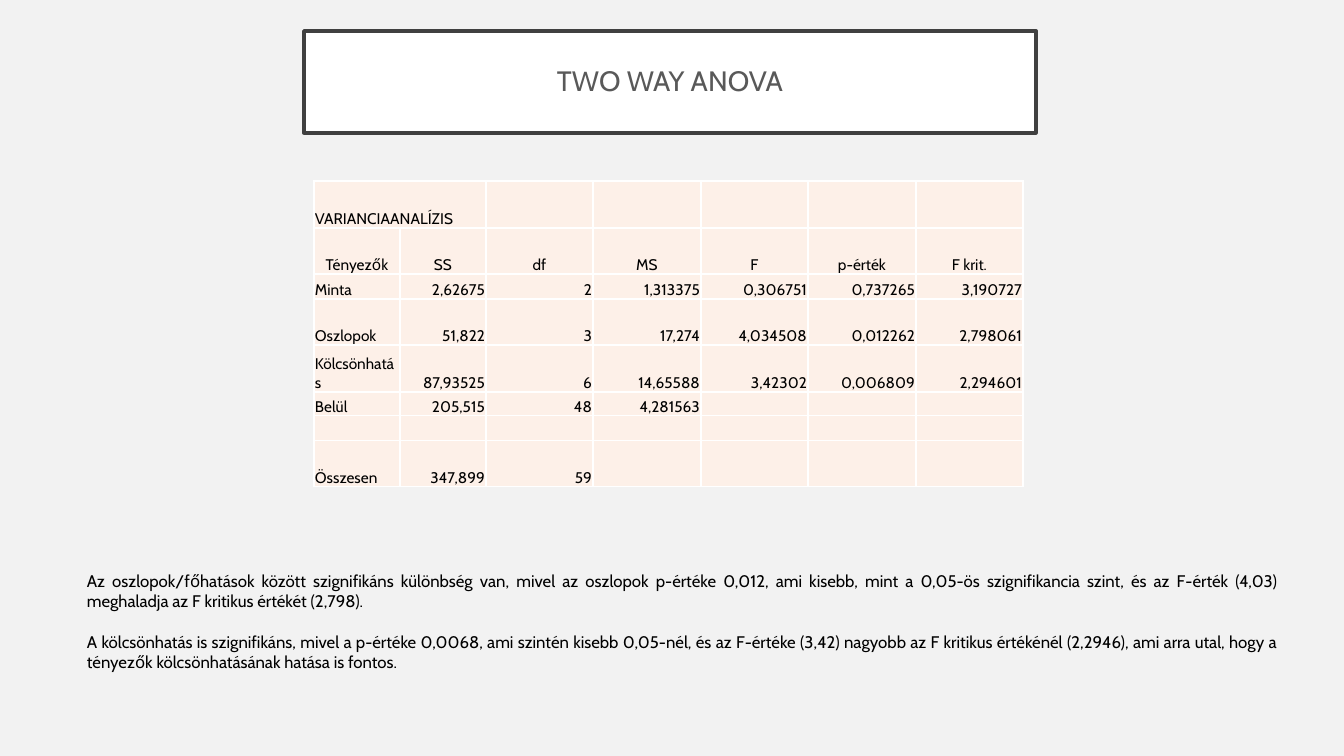
from dataclasses import dataclass

from lxml.etree import SubElement
from pptx import Presentation
from pptx.dml.color import RGBColor
from pptx.enum.shapes import MSO_SHAPE
from pptx.enum.text import MSO_ANCHOR, PP_ALIGN
from pptx.oxml.ns import qn
from pptx.util import Emu, Pt


@dataclass(frozen=True)
class Theme:
    """Colours, font and type sizes of the slide."""
    font: str = "Cabin"
    background: str = "F2F2F2"
    title_fill: str = "FFFFFF"
    title_line: str = "404040"
    title_text: str = "595959"
    text: str = "000000"
    cell_fill: str = "FDF0E8"
    cell_border: str = "FFFFFF"
    title_size: int = 20
    body_size: int = 12
    table_size: int = 11


THEME = Theme()
COLUMN_WIDTHS = (86, 86, 107, 108, 107, 108, 107)
ROW_HEIGHTS = (47, 46, 25, 46, 47, 24, 25, 46)
ANOVA_ROWS = (
    ("VARIANCIAANALÍZIS",),
    ("Tényezők", "SS", "df", "MS", "F", "p-érték", "F krit."),
    ("Minta", "2,62675", "2", "1,313375", "0,306751", "0,737265", "3,190727"),
    ("Oszlopok", "51,822", "3", "17,274", "4,034508", "0,012262", "2,798061"),
    ("Kölcsönhatás", "87,93525", "6", "14,65588", "3,42302", "0,006809", "2,294601"),
    ("Belül", "205,515", "48", "4,281563"),
    (),
    ("Összesen", "347,899", "59"),
)
CONCLUSIONS = (
    "Az oszlopok/főhatások között szignifikáns különbség van, mivel az oszlopok "
    "p-értéke 0,012, ami kisebb, mint a 0,05-ös szignifikancia szint, és az F-érték "
    "(4,03) meghaladja az F kritikus értékét (2,798).",
    "A kölcsönhatás is szignifikáns, mivel a p-értéke 0,0068, ami szintén kisebb "
    "0,05-nél, és az F-értéke (3,42) nagyobb az F kritikus értékénél (2,2946), ami "
    "arra utal, hogy a tényezők kölcsönhatásának hatása is fontos.",
)


def px(length):
    """Turn pixels into EMU at 100.8 pixels to the inch."""
    return Emu(round(length * 914400 / 100.8))


def color(value):
    """Turn a hex string into a colour."""
    return RGBColor.from_string(value)


def format_paragraph(paragraph, size, text_color, alignment):
    """Set the alignment of a paragraph and the font of its runs."""
    paragraph.alignment = alignment
    for run in paragraph.runs:
        run.font.name = THEME.font
        run.font.size = Pt(size)
        run.font.color.rgb = color(text_color)


def add_title(slide, text, left, top, width, height):
    """Add the framed title."""
    shape = slide.shapes.add_shape(
        MSO_SHAPE.RECTANGLE, px(left), px(top), px(width), px(height))
    shape.shadow.inherit = False
    shape.fill.solid()
    shape.fill.fore_color.rgb = color(THEME.title_fill)
    shape.line.color.rgb = color(THEME.title_line)
    shape.line.width = Pt(2.5)
    frame = shape.text_frame
    frame.text = text
    frame.word_wrap = True
    frame.vertical_anchor = MSO_ANCHOR.MIDDLE
    paragraph = frame.paragraphs[0]
    paragraph.line_spacing = 0.9
    format_paragraph(paragraph, THEME.title_size, THEME.title_text, PP_ALIGN.CENTER)


def add_body(slide, texts, left, top, width, height):
    """Add justified paragraphs set one line apart."""
    frame = slide.shapes.add_textbox(
        px(left), px(top), px(width), px(height)).text_frame
    frame.word_wrap = True
    frame.text = "\n".join(texts)
    for index, paragraph in enumerate(frame.paragraphs):
        paragraph.space_before = Pt(14.5 if index else 0)
        format_paragraph(paragraph, THEME.body_size, THEME.text, PP_ALIGN.JUSTIFY)


def add_borders(cell):
    """Draw a thin line on each side of a cell."""
    properties = cell._tc.get_or_add_tcPr()
    for side in ("a:lnL", "a:lnR", "a:lnT", "a:lnB"):
        line = SubElement(properties, qn(side), w=str(Pt(1)))
        fill = SubElement(line, qn("a:solidFill"))
        SubElement(fill, qn("a:srgbClr"), val=THEME.cell_border)


def fill_cell(cell, text, alignment):
    """Set the text, margins, borders and fill of a cell."""
    cell.text = text
    cell.vertical_anchor = MSO_ANCHOR.BOTTOM
    cell.margin_left = cell.margin_right = cell.margin_top = px(1)
    cell.margin_bottom = 0
    add_borders(cell)
    cell.fill.solid()
    cell.fill.fore_color.rgb = color(THEME.cell_fill)
    paragraph = cell.text_frame.paragraphs[0]
    format_paragraph(paragraph, THEME.table_size, THEME.text, alignment)
    if not text:
        SubElement(paragraph._p, qn("a:endParaRPr"), sz=str(THEME.table_size * 100))


def cell_alignment(row, column):
    """Centre the headings, right-align the numbers and left-align the labels."""
    if row == 1:
        return PP_ALIGN.CENTER
    return PP_ALIGN.RIGHT if column else PP_ALIGN.LEFT


def add_anova_table(slide, left, top):
    """Add the table of the analysis of variance."""
    table = slide.shapes.add_table(
        len(ROW_HEIGHTS), len(COLUMN_WIDTHS), px(left), px(top),
        px(sum(COLUMN_WIDTHS)), px(sum(ROW_HEIGHTS))).table
    table.first_row = table.horz_banding = False
    for column, width in zip(table.columns, COLUMN_WIDTHS):
        column.width = px(width)
    for row, height in zip(table.rows, ROW_HEIGHTS):
        row.height = px(height)
    for row, values in enumerate(ANOVA_ROWS):
        for column in range(len(COLUMN_WIDTHS)):
            text = values[column] if column < len(values) else ""
            fill_cell(table.cell(row, column), text, cell_alignment(row, column))
    table.cell(0, 0).merge(table.cell(0, 1))


def main():
    """Build and save the slide."""
    presentation = Presentation()
    presentation.slide_width = px(1344)
    presentation.slide_height = px(756)
    slide = presentation.slides.add_slide(presentation.slide_layouts[6])
    slide.background.fill.solid()
    slide.background.fill.fore_color.rgb = color(THEME.background)
    add_title(slide, "TWO WAY ANOVA", 304, 31, 732, 102)
    add_body(slide, CONCLUSIONS, 77, 566, 1212, 112)
    add_anova_table(slide, 314, 181)
    presentation.save("out.pptx")


if __name__ == "__main__":
    main()
